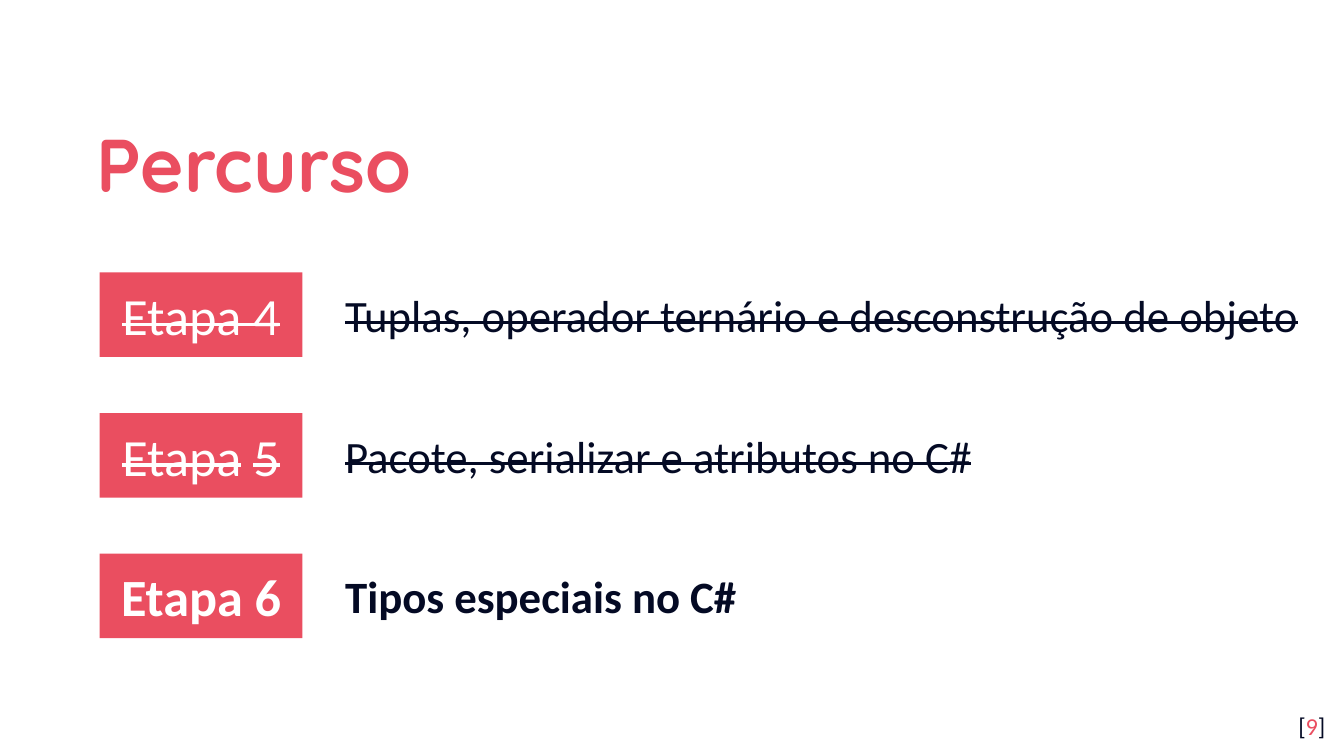
from dataclasses import dataclass

from pptx import Presentation
from pptx.dml.color import RGBColor
from pptx.enum.shapes import MSO_SHAPE
from pptx.enum.text import MSO_ANCHOR as Anchor, MSO_AUTO_SIZE as AutoSize, PP_ALIGN as Align
from pptx.util import Pt


@dataclass(frozen=True)
class Theme:
    accent: RGBColor = RGBColor(0xEA, 0x4E, 0x60)
    ink: RGBColor = RGBColor(0x04, 0x0A, 0x24)
    white: RGBColor = RGBColor(0xFF, 0xFF, 0xFF)
    title_font: str = "Quicksand"
    body_font: str = "Calibri"
    title_size: int = 40
    stage_size: int = 28
    topic_size: int = 24
    number_size: int = 13


THEME = Theme()

# Each stage: label parts as (text, struck out), topic, topic width, finished
STAGES = [
    ([("Etapa 4", True)], "Tuplas, operador ternário e desconstrução de objeto", 562.3, True),
    ([("Etapa", True), (" ", False), ("5", True)], "Pacote, serializar e atributos no C#", 511.2, True),
    ([("Etapa 6", False)], "Tipos especiais no C#", 486, False),
]
FIRST_TOP, STAGE_PITCH = 146, 75.3
STAGE_LEFT, STAGE_WIDTH, STAGE_HEIGHT = 53.4, 108.6, 45.3
TOPIC_LEFT, TOPIC_HEIGHT = 177.8, 36


def style_paragraph(paragraph, size, color, font=THEME.body_font, bold=False, align=Align.LEFT):
    paragraph.alignment = align
    paragraph.font.name = font
    paragraph.font.size = Pt(size)
    paragraph.font.bold = bold
    paragraph.font.color.rgb = color


def add_parts(paragraph, parts):
    for text, struck in parts:
        run = paragraph.add_run()
        run.text = text
        if struck:
            run._r.get_or_add_rPr().set("strike", "sngStrike")


def add_text_box(slide, left, top, width, height):
    box = slide.shapes.add_textbox(Pt(left), Pt(top), Pt(width), Pt(height))
    box.text_frame.word_wrap = True
    return box.text_frame


def set_title(slide, text):
    title = slide.shapes.title
    title.left, title.top, title.width, title.height = Pt(44.6), Pt(50.4), Pt(583.2), Pt(66.2)
    frame = title.text_frame
    frame.text = text
    frame.auto_size = AutoSize.NONE
    frame.vertical_anchor = Anchor.MIDDLE
    paragraph = frame.paragraphs[0]
    paragraph.line_spacing = 1.15
    style_paragraph(paragraph, THEME.title_size, THEME.accent, THEME.title_font, bold=True)


def add_stage(slide, top, label_parts, topic, topic_width, finished):
    # Label block
    block = slide.shapes.add_shape(
        MSO_SHAPE.RECTANGLE, Pt(STAGE_LEFT), Pt(top), Pt(STAGE_WIDTH), Pt(STAGE_HEIGHT))
    block.shadow.inherit = False
    block.fill.solid()
    block.fill.fore_color.rgb = THEME.accent
    block.line.fill.background()
    frame = block.text_frame
    frame.vertical_anchor = Anchor.MIDDLE
    paragraph = frame.paragraphs[0]
    style_paragraph(paragraph, THEME.stage_size, THEME.white, bold=not finished, align=Align.CENTER)
    add_parts(paragraph, label_parts)

    # Topic beside it
    topic_top = top + (STAGE_HEIGHT - TOPIC_HEIGHT) / 2
    paragraph = add_text_box(slide, TOPIC_LEFT, topic_top, topic_width, TOPIC_HEIGHT).paragraphs[0]
    style_paragraph(paragraph, THEME.topic_size, THEME.ink, bold=not finished)
    add_parts(paragraph, [(topic, finished)])


def add_page_number(slide, number):
    frame = add_text_box(slide, 673.9, 373.7, 43.2, 31)
    frame.margin_top = frame.margin_bottom = Pt(7.2)
    paragraph = frame.paragraphs[0]
    style_paragraph(paragraph, THEME.number_size, THEME.ink, align=Align.RIGHT)
    add_parts(paragraph, [("[", False), (str(number), False), ("]", False)])
    paragraph.runs[1].font.color.rgb = THEME.accent


def main():
    presentation = Presentation()
    presentation.slide_width, presentation.slide_height = Pt(720), Pt(405)
    slide = presentation.slides.add_slide(presentation.slide_layouts[5])

    set_title(slide, "Percurso")
    for index, stage in enumerate(STAGES):
        add_stage(slide, FIRST_TOP + index * STAGE_PITCH, *stage)
    add_page_number(slide, 9)

    presentation.save("out.pptx")


main()
